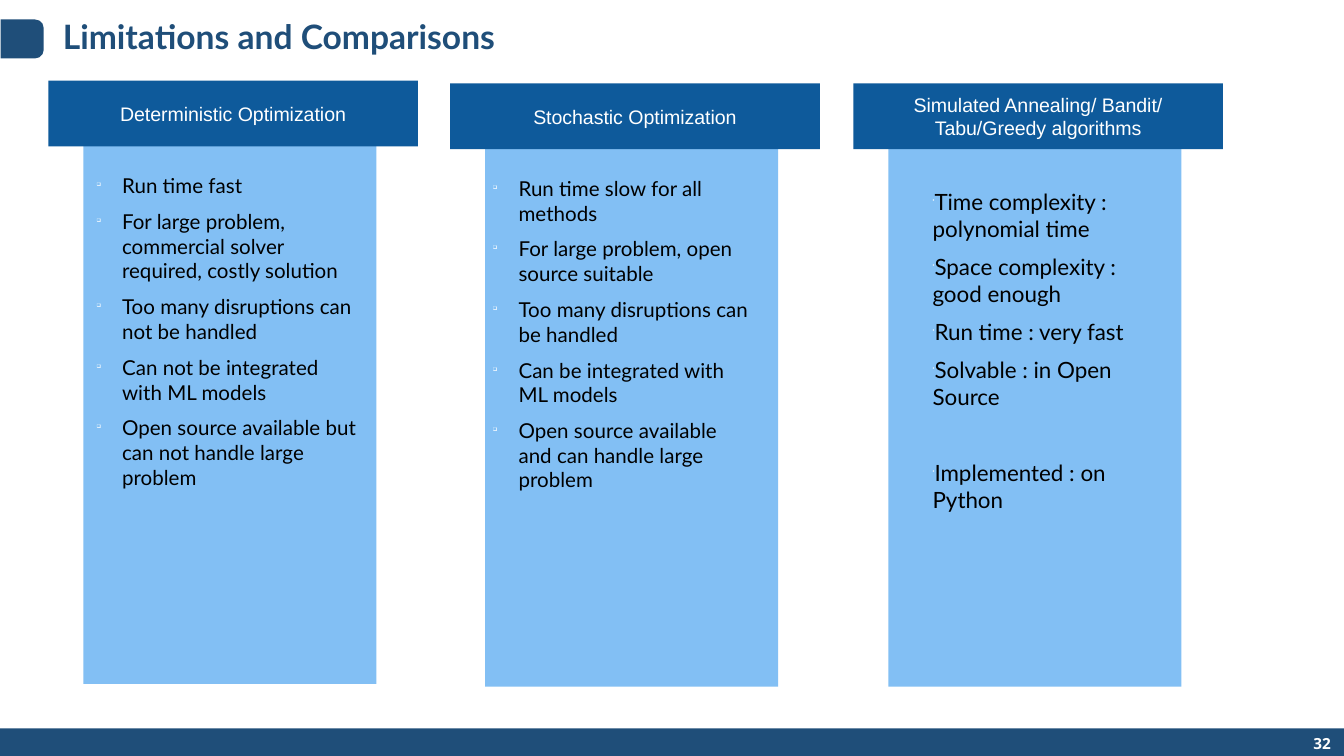
from dataclasses import dataclass

from lxml.etree import SubElement
from pptx import Presentation
from pptx.dml.color import RGBColor
from pptx.enum.shapes import MSO_SHAPE as Shape
from pptx.enum.text import MSO_ANCHOR as Anchor, PP_ALIGN as Align
from pptx.oxml.ns import qn
from pptx.util import Inches, Pt


@dataclass(frozen=True)
class Theme:
    navy: str = "1F4E79"
    blue: str = "0E5A9B"
    sky: str = "82BFF4"
    white: str = "FFFFFF"
    black: str = "000000"
    title_size: float = 18
    heading_size: float = 10.5
    number_size: float = 8.2
    body_font: str = "Lato"
    heading_font: str = "Arial"
    number_font: str = "Open Sans"


@dataclass(frozen=True)
class Frame:
    left: float
    top: float
    width: float
    height: float

    def lengths(self) -> list:
        return [Inches(n) for n in (self.left, self.top, self.width, self.height)]


@dataclass(frozen=True)
class Column:
    left: float
    top: float
    heading: str
    body: Frame
    items: tuple
    size: float = 11
    bullet: str = "❑"
    indent: float = 0.19
    gap_before_last: float = 0


THEME = Theme()
COLUMNS = (
    Column(0.36, 0.6, "Deterministic Optimization", Frame(0.62, 1.24, 2.14, 2.66), (
        "Run time fast",
        "For large problem, commercial solver required, costly solution",
        "Too many disruptions can not be handled",
        "Can not be integrated with ML models",
        "Open source available but can not handle large problem",
    )),
    Column(3.35, 0.62, "Stochastic Optimization", Frame(3.57, 1.26, 2.14, 2.47), (
        "Run time slow for all methods",
        "For large problem, open source suitable",
        "Too many disruptions can be handled",
        "Can be integrated with ML models",
        "Open source available and can handle large problem",
    )),
    Column(6.35, 0.62, "Simulated Annealing/ Bandit/ Tabu/Greedy algorithms",
           Frame(6.84, 1.35, 1.69, 2.74), (
               "Time complexity : polynomial time",
               "Space complexity : good enough",
               "Run time : very fast",
               "Solvable : in Open Source",
               "Implemented : on Python",
           ), size=12, bullet="•", indent=0, gap_before_last=20.4),
)


def add_block(page, frame: Frame, color: str, kind=Shape.RECTANGLE):
    block = page.shapes.add_shape(kind, *frame.lengths())
    block.shadow.inherit = False
    block.fill.solid()
    block.fill.fore_color.rgb = RGBColor.from_string(color)
    block.line.fill.background()
    return block


def add_text_box(page, frame: Frame, anchor=Anchor.TOP):
    box = page.shapes.add_textbox(*frame.lengths())
    box.text_frame.word_wrap = True
    box.text_frame.vertical_anchor = anchor
    return box


def style(para, font: str, size: float, color: str, bold: bool = False) -> None:
    para.font.name = font
    para.font.size = Pt(size)
    para.font.bold = bold
    para.font.color.rgb = RGBColor.from_string(color)


def add_bullet(para, mark: str, indent: float) -> None:
    """Call after paragraph spacing and before font settings."""
    props = para._p.get_or_add_pPr()
    props.set("marL", str(Inches(indent)))
    props.set("indent", str(-Inches(indent)))
    color = SubElement(props, qn("a:buClr"))
    SubElement(color, qn("a:srgbClr"), val=THEME.white)
    SubElement(props, qn("a:buSzPct"), val="25000")
    SubElement(props, qn("a:buChar"), char=mark)


def add_column(page, column: Column) -> None:
    # Panel behind the heading
    add_block(page, Frame(column.left + 0.26, column.top + 0.08, 2.18, 4.41), THEME.sky)
    heading = add_block(page, Frame(column.left, column.top, 2.75, 0.49), THEME.blue)
    heading.text_frame.word_wrap = True
    heading.text_frame.vertical_anchor = Anchor.MIDDLE
    para = heading.text_frame.paragraphs[0]
    para.text = column.heading
    para.alignment = Align.CENTER
    style(para, THEME.heading_font, THEME.heading_size, THEME.white)

    # Bulleted list
    text = add_text_box(page, column.body).text_frame
    text.text = "\n".join(column.items)
    if column.gap_before_last:
        text.paragraphs[-1].space_before = Pt(column.gap_before_last)
    for para in text.paragraphs:
        para.space_after = Pt(6)
        add_bullet(para, column.bullet, column.indent)
        style(para, THEME.body_font, column.size, THEME.black)


# Widescreen page, 16 to 9
deck = Presentation()
deck.slide_width = Inches(10)
deck.slide_height = deck.slide_width * 9 // 16
page = deck.slides.add_slide(deck.slide_layouts[6])

# Footer band and slide number
add_block(page, Frame(0, 5.42, 10, 0.21), THEME.navy)
number = add_text_box(page, Frame(9.37, 5.44, 0.63, 0.18), Anchor.MIDDLE)
para = number.text_frame.paragraphs[0]
para.text = "32"
para.alignment = Align.RIGHT
style(para, THEME.number_font, THEME.number_size, THEME.white, bold=True)

# Title and its side tab
tab = add_block(page, Frame(0.02, 0.13, 0.29, 0.32), THEME.navy,
                Shape.ROUND_2_SAME_RECTANGLE)
tab.rotation = 90
tab.adjustments[0] = 0.22
title = add_text_box(page, Frame(0.37, 0.11, 9.27, 0.35), Anchor.MIDDLE)
para = title.text_frame.paragraphs[0]
para.text = "Limitations and Comparisons"
para.line_spacing = 0.9
style(para, THEME.body_font, THEME.title_size, THEME.navy, bold=True)

# Three compared approaches
for column in COLUMNS:
    add_column(page, column)

deck.save("out.pptx")
